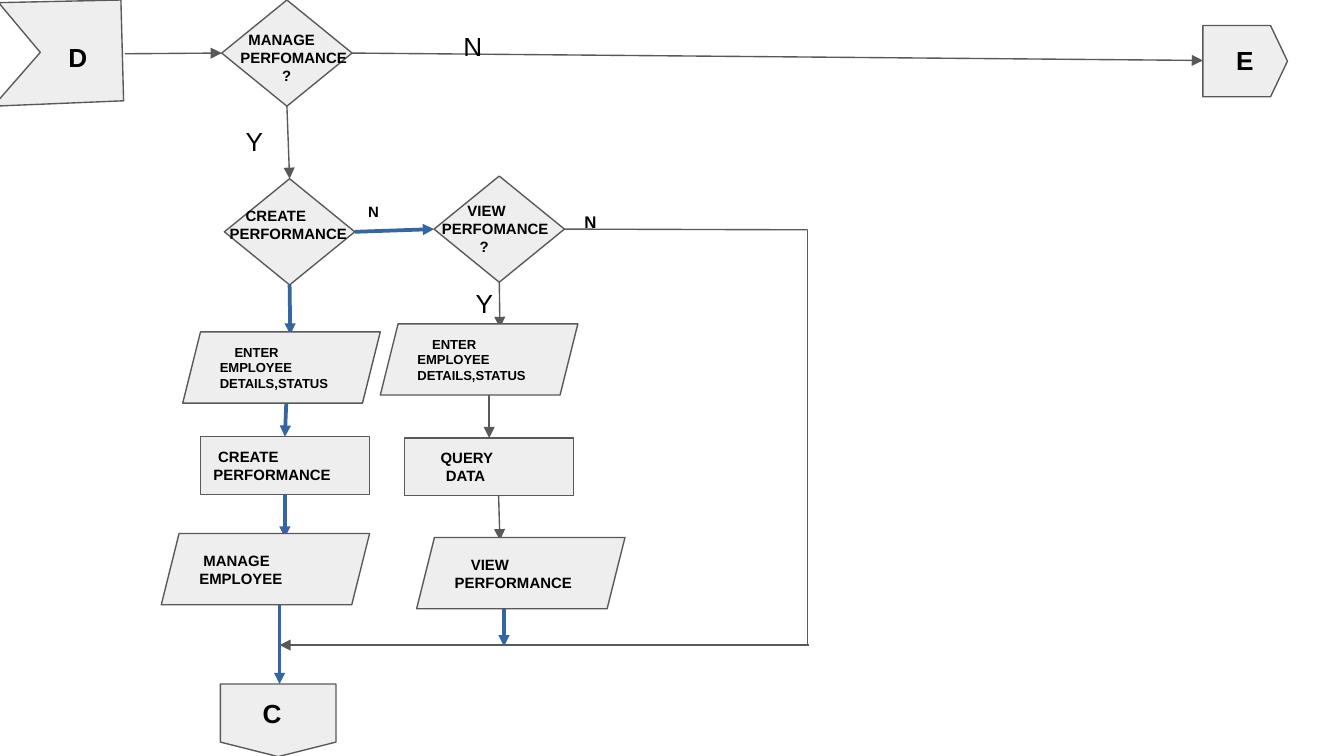
from lxml import etree
from pptx import Presentation
from pptx import util as u
from pptx.dml.color import RGBColor
from pptx.enum import shapes, text
from pptx.oxml.ns import qn

CELL = u.Inches(0.1)  # the slide is a grid of square cells, 100 columns wide
COLUMNS, ROWS = 100, 56.25
GREY = RGBColor(0xEE, 0xEE, 0xEE)
DARK = RGBColor(0x59, 0x59, 0x59)
BLUE = RGBColor(0x34, 0x65, 0xA4)
BLACK = RGBColor(0, 0, 0)
KIND = shapes.MSO_SHAPE

DECISION = (9.7, 7.9)
PROCESS = (12.6, 4.3)
ENTRY = (14.7, 5.3)
RESULT = (15.5, 5.3)
DETAILS = [(1.1, "ENTER"), (0, "EMPLOYEE"), (0, "DETAILS,STATUS")]

# name: column, row, size
DECISIONS = {
    "manage": (16.5, 0, DECISION),
    "view": (32.3, 13.1, DECISION),
    "create": (16.7, 13.3, DECISION),
}
# name: column, row, size, lines of (indent, words)
PROCESSES = {
    "query data": (30.1, 32.6, PROCESS, [(1.7, "QUERY"), (2.1, "DATA")]),
    "create record": (14.9, 32.5, PROCESS, [(0.35, "CREATE"), (0, "PERFORMANCE")]),
}
DATA_STEPS = [
    (28.3, 24.1, ENTRY, DETAILS, 7),
    (13.6, 24.7, ENTRY, DETAILS, 7),
    (31, 40, RESULT, [(1.2, "VIEW"), (0, "PERFORMANCE")], 8),
    (12, 39.7, RESULT, [(0.3, "MANAGE"), (0, "EMPLOYEE")], 8),
]
# each end is a (column, row) point or a (shape name, side) joint
TOP, LEFT, BOTTOM, RIGHT = range(4)
DARK_ARROWS = [
    ((9.3, 4), ("manage", LEFT)),
    (("manage", BOTTOM), ("create", TOP)),
    (("manage", RIGHT), (89.5, 4.5)),
    (("view", BOTTOM), (37.2, 24.4)),
    ((36.4, 29.1), ("query data", TOP)),
    ((37.1, 36.9), (37.2, 40.2)),
    ((60.2, 48), (20.8, 48)),
]
DARK_LINES = [
    (("view", RIGHT), (60.1, 17.1)),
    ((60.1, 17.1), (60.1, 48.1)),
]
BLUE_ARROWS = [
    (("create", RIGHT), ("view", LEFT)),
    (("create", BOTTOM), (21.6, 24.9)),
    ((21.3, 30), ("create record", TOP)),
    (("create record", BOTTOM), (21.2, 40)),
    ((20.8, 45), (20.8, 50.9)),
    ((37.5, 45.3), (37.5, 48.1)),
]
# column, row, width, height, lines, size, bold
LABELS = [
    (4.1, 2.1, 2.9, 4.3, [(0, "D")], 14, True),
    (91, 2.3, 2, 4.3, [(0, "E")], 14, True),
    (33.5, 1.3, 6.3, 4.3, [(0, "N")], 14, False),
    (17.3, 8.3, 3.5, 4.3, [(0, "Y")], 14, False),
    (34.4, 20.4, 5.5, 4.3, [(0, "Y")], 14, False),
    (42.5, 15, 5.6, 3.5, [(0, "N")], 9, True),
    (26.4, 14.4, 3.6, 2.2, [(0, "N")], 8, True),
    (16, 1.3, 11.2, 6, [(1.5, "MANAGE"), (0.9, "PERFOMANCE"), (4, "?")], 8, True),
    (30.7, 14, 11.4, 6, [(3.1, "VIEW"), (1.2, "PERFOMANCE"), (4, "?")], 8, True),
    (16.1, 14.4, 15, 5, [(1.2, "CREATE"), (0, "PERFORMANCE")], 8, True),
]


def cells(*lengths):
    return [round(length * CELL) for length in lengths]


def write(shape, lines, size, bold=True, anchor=text.MSO_ANCHOR.MIDDLE):
    """Fill a shape with left-aligned lines, each with its own indent."""
    frame = shape.text_frame
    inset = round(CELL)
    frame_format = {
        "word_wrap": True, "vertical_anchor": anchor, "margin_left": inset,
        "margin_top": inset, "margin_right": 0, "margin_bottom": inset,
    }
    for name, value in frame_format.items():
        setattr(frame, name, value)
    font_format = {"name": "Arial", "size": u.Pt(size), "bold": bold}
    for number, (indent, words) in enumerate(lines):
        paragraph = frame.add_paragraph() if number else frame.paragraphs[0]
        paragraph.alignment = text.PP_ALIGN.LEFT
        paragraph.font.color.rgb = BLACK
        run = paragraph.add_run()
        run.text = words
        run.font.color.rgb = BLACK
        for name, value in font_format.items():
            setattr(run.font, name, value)
        paragraph._p.get_or_add_pPr().set("marL", str(cells(indent)[0]))


def paint(shape):
    shape.shadow.inherit = False
    shape.fill.solid()
    shape.fill.fore_color.rgb = GREY
    shape.line.color.rgb = DARK
    shape.line.width = u.Pt(0.75)


def add_box(slide, kind, column, row, size, lines=(), font_size=8):
    shape = slide.shapes.add_shape(kind, *cells(column, row, *size))
    paint(shape)
    if lines:
        write(shape, lines, font_size)
    return shape


def add_label(slide, column, row, width, height, lines, size, bold):
    box = slide.shapes.add_textbox(*cells(column, row, width, height))
    write(box, lines, size, bold, text.MSO_ANCHOR.TOP)


def add_entry_flag(slide):
    """Draw the notched flag where the flow comes in."""
    start, *others = [cells(*point) for point in
                      [(9, 0), (-0.1, 0.2), (3, 3.9), (-0.5, 7.9), (9.2, 7.5)]]
    builder = slide.shapes.build_freeform(*start, scale=1.0)
    builder.add_line_segments(others, close=True)
    paint(builder.convert_to_shape())


def add_link(slide, nodes, ends, color, width, arrow=True):
    points = [(0, 0) if end[0] in nodes else cells(*end) for end in ends]
    link = slide.shapes.add_connector(
        shapes.MSO_CONNECTOR.STRAIGHT, *points[0], *points[1])
    for end, join in zip(ends, (link.begin_connect, link.end_connect)):
        if end[0] in nodes:
            join(nodes[end[0]], end[1])
    link.line.color.rgb = color
    link.line.width = u.Pt(width)
    properties = link._element.spPr
    if arrow:
        etree.SubElement(properties.find(qn("a:ln")), qn("a:tailEnd"), type="triangle")
    etree.SubElement(properties, qn("a:effectLst"))


def main():
    presentation = Presentation()
    presentation.slide_width, presentation.slide_height = cells(COLUMNS, ROWS)
    slide = presentation.slides.add_slide(presentation.slide_layouts[6])

    add_entry_flag(slide)
    nodes = {name: add_box(slide, KIND.DIAMOND, *place)
             for name, place in DECISIONS.items()}
    nodes.update({name: add_box(slide, KIND.RECTANGLE, *place)
                  for name, place in PROCESSES.items()})
    for links, color, width, arrow in [(DARK_ARROWS, DARK, 0.75, True),
                                       (DARK_LINES, DARK, 0.75, False),
                                       (BLUE_ARROWS, BLUE, 0, True)]:
        for ends in links:
            add_link(slide, nodes, ends, color, width, arrow)
    for step in DATA_STEPS:
        add_box(slide, KIND.PARALLELOGRAM, *step)
    connector_kind = KIND.FLOWCHART_OFFPAGE_CONNECTOR
    add_box(slide, connector_kind, 90, 1.4, (5.3, 6.3)).rotation = 270
    add_box(slide, connector_kind, 16.4, 50.9, (8.6, 5.4), [(2.16, "C")], 14)
    for label in LABELS:
        add_label(slide, *label)

    presentation.save("out.pptx")


if __name__ == "__main__":
    main()
